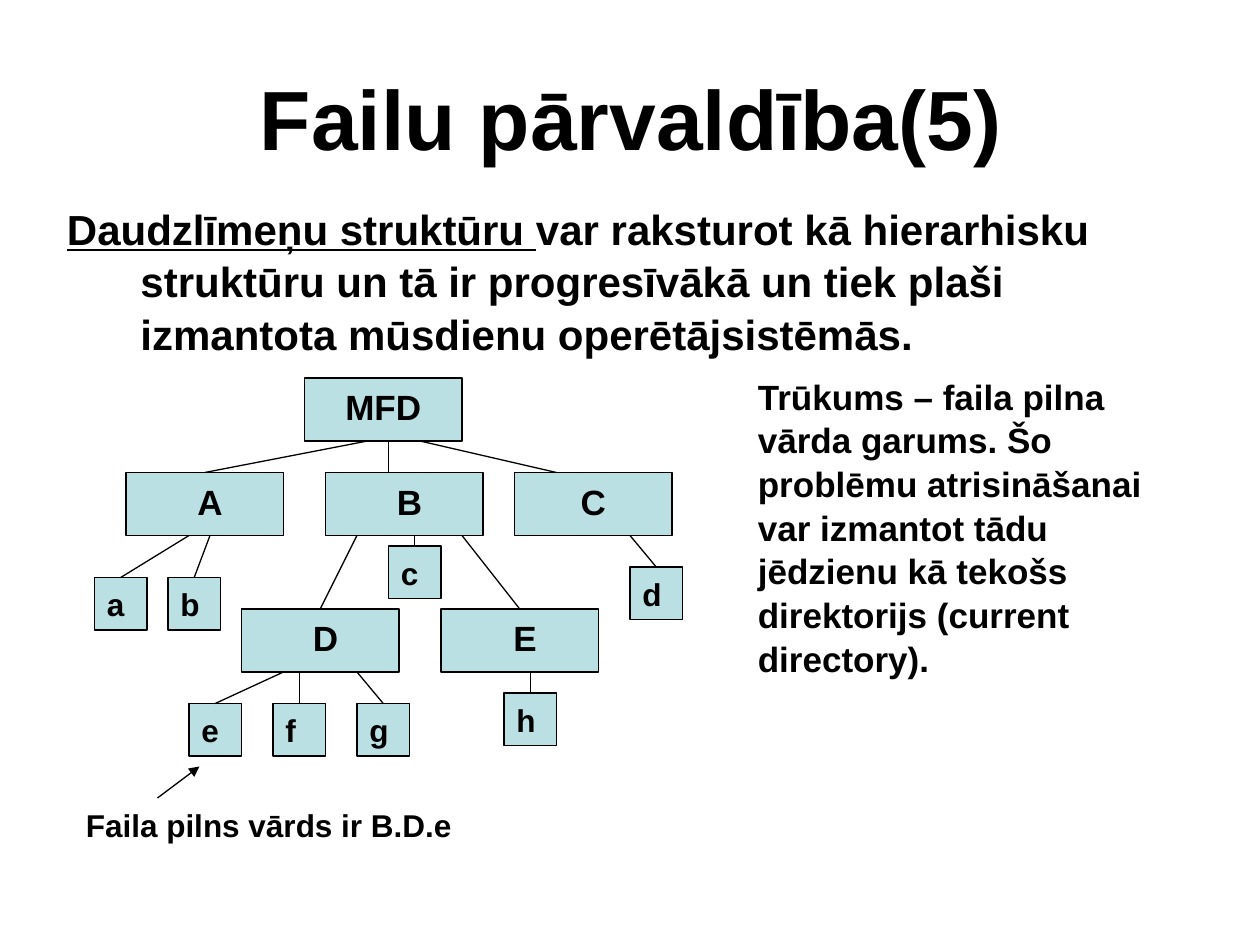
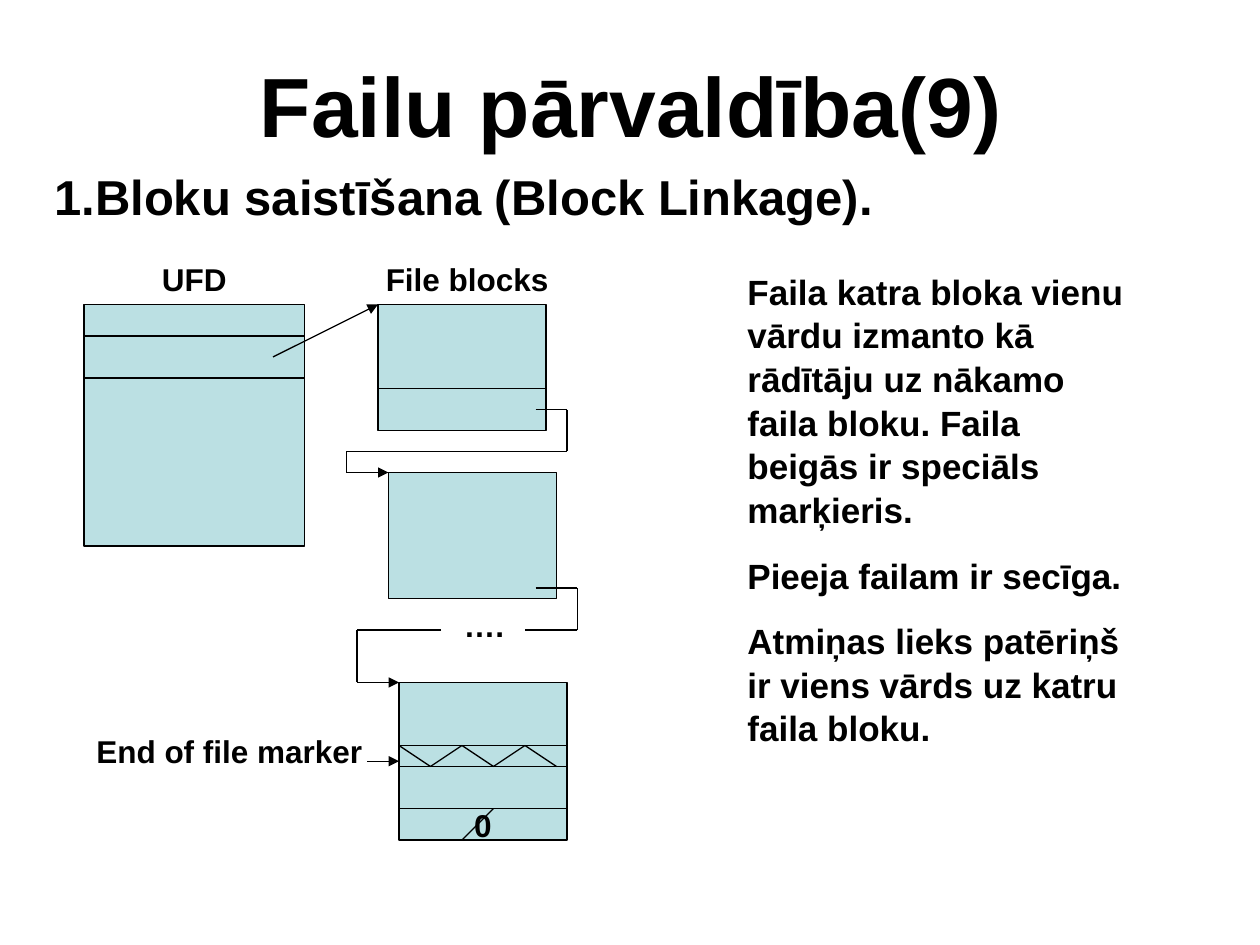
from dataclasses import dataclass
from itertools import pairwise

from lxml import etree
from pptx import Presentation
from pptx import util as u
from pptx.dml.color import RGBColor
from pptx.enum import shapes, text
from pptx.oxml.ns import qn

COLUMNS, ROWS = 120, 90
CENTER, LEFT = text.PP_ALIGN.CENTER, text.PP_ALIGN.LEFT
TOP, SIDE_LEFT = 0, 1


@dataclass(frozen=True)
class Theme:
    font: str = "Arial"
    ink: RGBColor = RGBColor(0x00, 0x00, 0x00)
    block: RGBColor = RGBColor(0xBB, 0xE0, 0xE3)
    title: int = 48
    heading: int = 28
    lead: int = 24
    note: int = 20
    label: int = 18
    line_width: float = 0.75
    line_spacing: float = 1.04
    paragraph_gap: float = 12.5


class Deck:
    """Draws on the current slide; lengths are grid columns and rows."""

    def __init__(self, theme):
        self.theme = theme
        self.presentation = Presentation()
        self.presentation.slide_width = u.Inches(10)
        self.presentation.slide_height = u.Inches(7.5)
        self.slide = None

    def x(self, columns):
        return round(self.presentation.slide_width * columns / COLUMNS)

    def y(self, rows):
        return round(self.presentation.slide_height * rows / ROWS)

    def area(self, left, top, width, height):
        return self.x(left), self.y(top), self.x(width), self.y(height)

    def new_slide(self, title, title_height):
        self.slide = self.presentation.slides.add_slide(
            self.presentation.slide_layouts[6])
        self.text_box((6.1, 3.4, 108, title_height), [[title]],
                      self.theme.title, CENTER, text.MSO_ANCHOR.MIDDLE)

    def fill_text(self, shape, paragraphs, size, align=LEFT,
                  anchor=text.MSO_ANCHOR.TOP, hanging=0):
        """Each paragraph is a list of runs: a string or (string, underline)."""
        frame = shape.text_frame
        frame.word_wrap = True
        frame.vertical_anchor = anchor
        for number, runs in enumerate(paragraphs):
            paragraph = frame.add_paragraph() if number else frame.paragraphs[0]
            paragraph.alignment = align
            paragraph.line_spacing = self.theme.line_spacing
            if number:
                paragraph.space_before = u.Pt(self.theme.paragraph_gap)
            if hanging:
                properties = paragraph._p.get_or_add_pPr()
                properties.set("marL", str(self.x(hanging)))
                properties.set("indent", str(-self.x(hanging)))
            for item in runs:
                words, underline = (item, False) if isinstance(item, str) else item
                run = paragraph.add_run()
                run.text = words
                font = run.font
                font.name, font.size, font.bold = self.theme.font, u.Pt(size), True
                font.color.rgb = self.theme.ink
                font.underline = underline

    def text_box(self, area, paragraphs, size, *style, **options):
        shape = self.slide.shapes.add_textbox(*self.area(*area))
        self.fill_text(shape, paragraphs, size, *style, **options)

    def label(self, left, top, width, words, align=LEFT):
        self.text_box((left, top, width, 4.8), [[words]], self.theme.label, align)

    def block(self, left, top, width, height):
        shape = self.slide.shapes.add_shape(
            shapes.MSO_SHAPE.RECTANGLE, *self.area(left, top, width, height))
        shape.shadow.inherit = False
        shape.fill.solid()
        shape.fill.fore_color.rgb = self.theme.block
        shape.line.color.rgb = self.theme.ink
        shape.line.width = u.Pt(self.theme.line_width)
        return shape

    def directory(self, left, top, name, shift=0):
        """A wide named block; shift narrows the text area from the left."""
        shape = self.block(left, top, 15, 6)
        self.fill_text(shape, [[name]], self.theme.note, CENTER)
        shape.text_frame.margin_left += self.x(shift)
        return shape

    def file(self, left, top, name):
        shape = self.block(left, top, 5, 5)
        self.fill_text(shape, [[name]], self.theme.label)
        return shape

    def line(self, start, end, arrow=False):
        connector = self.slide.shapes.add_connector(
            shapes.MSO_CONNECTOR.STRAIGHT, self.x(start[0]), self.y(start[1]),
            self.x(end[0]), self.y(end[1]))
        connector.line.color.rgb = self.theme.ink
        connector.line.width = u.Pt(self.theme.line_width)
        if arrow:
            outline = connector.line._get_or_add_ln()
            etree.SubElement(outline, qn("a:tailEnd"), type="triangle")
        etree.SubElement(connector._element.spPr, qn("a:effectLst"))
        return connector

    def polyline(self, points, arrow=False):
        segments = list(pairwise(points))
        for number, (start, end) in enumerate(segments, 1):
            self.line(start, end, arrow and number == len(segments))

    def dividers(self, left, width, rows):
        for row in rows:
            self.line((left, row), (left + width, row))


def directory_tree(deck):
    theme = deck.theme
    deck.new_slide("Failu pārvaldība(5)", 15)
    deck.text_box((5.2, 18.6, 105.8, 13), [[
        ("Daudzlīmeņu struktūru ", True),
        "var raksturot kā hierarhisku struktūru un tā ir progresīvākā un tiek "
        "plaši izmantota mūsdienu operētājsistēmās."]], theme.lead, hanging=7)

    # Directories and files
    deck.directory(29, 36, "MFD")
    nodes = {name: deck.directory(left, top, name, shift)
             for name, left, top, shift in (
                 ("A", 12, 45, 1), ("B", 31, 45, 1), ("C", 49, 45, 0),
                 ("D", 23, 58, 1), ("E", 42, 58, 1))}
    for name, left, top in (("a", 9, 55), ("b", 16, 55), ("c", 37, 52),
                            ("d", 60, 54), ("e", 18, 67), ("f", 26, 67),
                            ("g", 34, 67), ("h", 48, 66)):
        nodes[name] = deck.file(left, top, name)

    # Branches, each joined to the top of its child
    for start, child in (((35, 42), "A"), ((18, 51), "a"), ((20, 51), "b"),
                         ((34, 51), "D"), ((44, 51), "E"), ((39.5, 51), "c"),
                         ((27, 64), "e"), ((28.5, 64), "f"), ((34, 64), "g"),
                         ((50.5, 64), "h"), ((60, 51), "d")):
        deck.line(start, start).end_connect(nodes[child], TOP)
    deck.line((37, 42), (37, 45))
    deck.line((40, 42), (53, 45))

    # Full file name and remark
    deck.label(7, 76, 39, "Faila pilns vārds ir B.D.e")
    deck.line((15, 76), (19, 73), arrow=True)
    deck.text_box((71, 35, 39, 29.3), [[
        "Trūkums – faila pilna vārda garums. Šo problēmu atrisināšanai var "
        "izmantot tādu jēdzienu kā tekošs direktorijs (current directory)."]],
        theme.note)


def block_linkage(deck):
    theme = deck.theme
    deck.new_slide("Failu pārvaldība(9)", 12.6)
    deck.text_box((4, 15, 105.8, 7), [["1.Bloku saistīšana (Block Linkage)."]],
                  theme.heading, hanging=8)

    # User directory and file blocks
    deck.block(8, 29, 21, 23)
    deck.block(36, 29, 16, 12)
    deck.block(37, 45, 16, 12)
    last_block = deck.block(38, 65, 16, 15)
    deck.dividers(8, 21, (32, 36))
    deck.dividers(36, 16, (37,))
    deck.dividers(38, 16, (71, 73, 77))
    deck.label(11, 24, 15, "UFD", CENTER)
    deck.label(33, 24, 23, "File blocks", CENTER)

    # Links from block to block
    deck.line((26, 34), (36, 29), arrow=True)
    deck.polyline([(51, 39), (54, 39), (54, 43), (33, 43), (33, 45), (37, 45)],
                  arrow=True)
    deck.polyline([(51, 56), (55, 56), (55, 60), (50, 60)])
    deck.label(43, 57, 7, "….")
    deck.polyline([(42, 60), (34, 60), (34, 65), (38, 65)], arrow=True)

    # End of file marker and empty pointer
    deck.polyline([(38 + 3 * step, 71 + 2 * (step % 2)) for step in range(6)])
    deck.label(8, 69, 28, "End of file marker")
    marker = deck.line((35, 72.5), (38, 72.5), arrow=True)
    marker.end_connect(last_block, SIDE_LEFT)
    deck.label(42, 76, 8, "0", CENTER)
    deck.line((47, 77), (44, 80))

    # Remarks
    deck.text_box((70, 25, 39, 45.4), [
        ["Faila katra bloka vienu vārdu izmanto kā rādītāju uz nākamo faila "
         "bloku. Faila beigās ir speciāls marķieris."],
        ["Pieeja failam ir secīga."],
        ["Atmiņas lieks patēriņš ir viens vārds uz katru faila bloku."]],
        theme.note)


def main():
    deck = Deck(Theme())
    directory_tree(deck)
    block_linkage(deck)
    deck.presentation.save("out.pptx")


if __name__ == "__main__":
    main()
